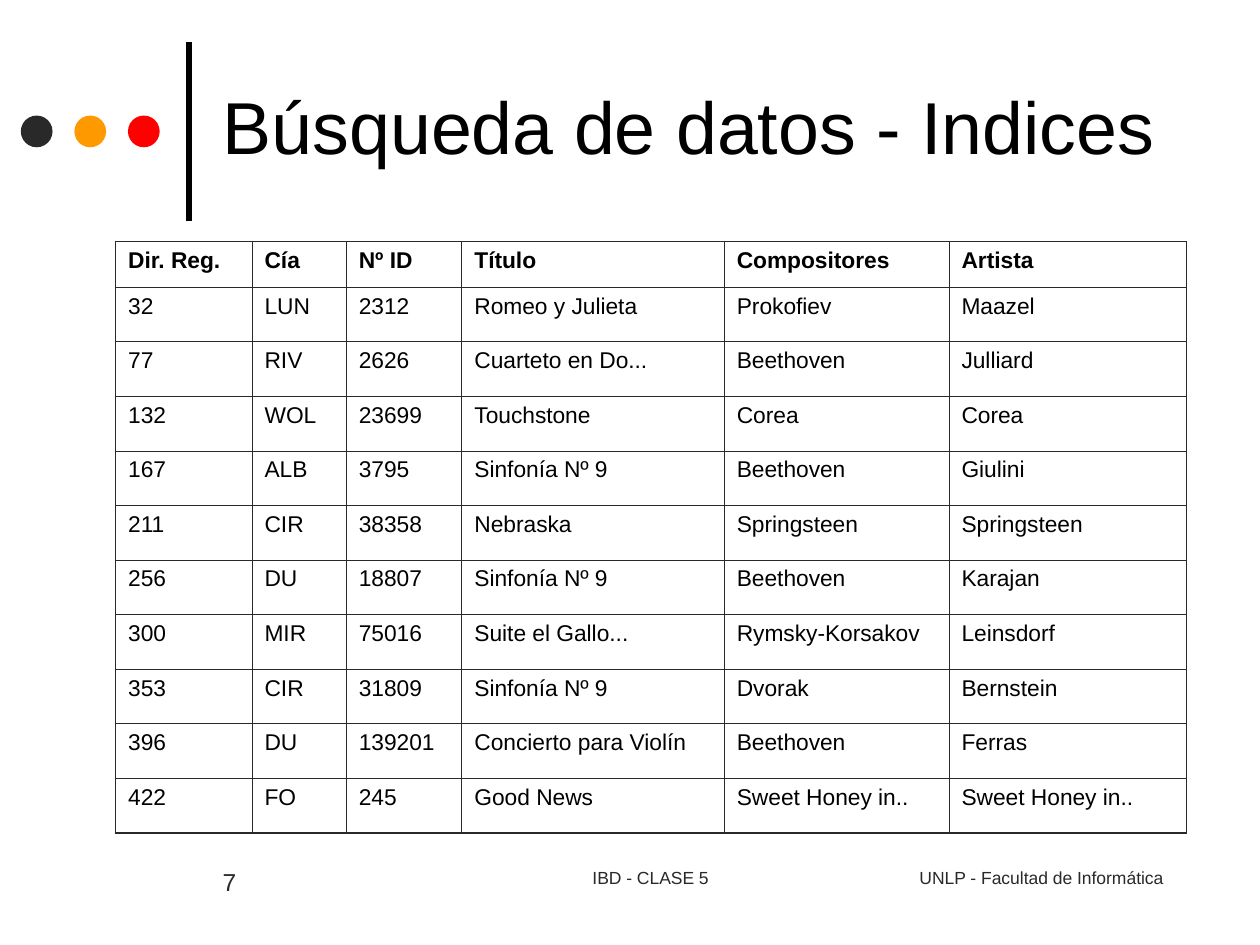
from dataclasses import dataclass

from lxml import etree
from pptx import Presentation
from pptx.dml.color import RGBColor
from pptx.enum.shapes import MSO_CONNECTOR, MSO_SHAPE
from pptx.enum.text import MSO_ANCHOR, PP_ALIGN
from pptx.oxml.ns import qn
from pptx.util import Cm, Pt

STRAIGHT = MSO_CONNECTOR.STRAIGHT
OVAL = MSO_SHAPE.OVAL
TOP, MIDDLE = MSO_ANCHOR.TOP, MSO_ANCHOR.MIDDLE
LEFT, CENTER, RIGHT = PP_ALIGN.LEFT, PP_ALIGN.CENTER, PP_ALIGN.RIGHT


@dataclass(frozen=True)
class Theme:
    font: str = "Arial"
    black: str = "000000"
    dark: str = "292929"
    orange: str = "FF9900"
    red: str = "FF0000"
    title_size: float = 42
    number_size: float = 14
    table_size: float = 13
    footer_size: float = 10
    outer_line: float = 1.08
    inner_line: float = 0.45


theme = Theme()


def write(text_frame, text, size, color, alignment=LEFT, bold=False):
    text_frame.text = text
    paragraph = text_frame.paragraphs[0]
    paragraph.alignment = alignment
    font = paragraph.runs[0].font
    font.name = theme.font
    font.size = Pt(size)
    font.bold = bold
    font.color.rgb = RGBColor.from_string(color)


def set_borders(cell, widths):
    properties = cell._tc.get_or_add_tcPr()
    for position, (side, width) in enumerate(widths.items()):
        line = etree.Element(qn(f"a:ln{side}"), w=str(Pt(width)))
        fill = etree.SubElement(line, qn("a:solidFill"))
        etree.SubElement(fill, qn("a:srgbClr"), val=theme.dark)
        properties.insert(position, line)


presentation = Presentation()
presentation.slide_width = Cm(25.4)
presentation.slide_height = Cm(19.05)
slide = presentation.slides.add_slide(presentation.slide_layouts[6])
shapes = slide.shapes

divider = shapes.add_connector(STRAIGHT, Cm(3.81), Cm(4.45), Cm(3.81), Cm(0.85))
divider.line.color.rgb = RGBColor.from_string(theme.black)
divider.line.width = Pt(3)
etree.SubElement(divider._element.spPr, qn("a:effectLst"))

for index, color in enumerate((theme.dark, theme.orange, theme.red)):
    dot = shapes.add_shape(OVAL, Cm(0.42 + 1.08 * index), Cm(2.33), Cm(0.64), Cm(0.64))
    dot.shadow.inherit = False
    dot.fill.solid()
    dot.fill.fore_color.rgb = RGBColor.from_string(color)
    dot.line.fill.background()

column_widths = (2.75, 1.9, 2.33, 5.29, 4.53, 4.79)
header_height, row_height = 0.92, 1.1
records = (
    ("Dir. Reg.", "Cía", "Nº ID", "Título", "Compositores", "Artista"),
    ("32", "LUN", "2312", "Romeo y Julieta", "Prokofiev", "Maazel"),
    ("77", "RIV", "2626", "Cuarteto en Do...", "Beethoven", "Julliard"),
    ("132", "WOL", "23699", "Touchstone", "Corea", "Corea"),
    ("167", "ALB", "3795", "Sinfonía Nº 9", "Beethoven", "Giulini"),
    ("211", "CIR", "38358", "Nebraska", "Springsteen", "Springsteen"),
    ("256", "DU", "18807", "Sinfonía Nº 9", "Beethoven", "Karajan"),
    ("300", "MIR", "75016", "Suite el Gallo...", "Rymsky-Korsakov", "Leinsdorf"),
    ("353", "CIR", "31809", "Sinfonía Nº 9", "Dvorak", "Bernstein"),
    ("396", "DU", "139201", "Concierto para Violín", "Beethoven", "Ferras"),
    ("422", "FO", "245", "Good News", "Sweet Honey in..", "Sweet Honey in.."),
)
last_row, last_column = len(records) - 1, len(column_widths) - 1
table = shapes.add_table(
    len(records), len(column_widths), Cm(2.33), Cm(4.87),
    Cm(sum(column_widths)), Cm(header_height + row_height * last_row),
).table
table.first_row = False
table.horz_banding = False
for column, width in zip(table.columns, column_widths):
    column.width = Cm(width)

for row_index, record in enumerate(records):
    table.rows[row_index].height = Cm(row_height if row_index else header_height)
    for column_index, text in enumerate(record):
        cell = table.cell(row_index, column_index)
        cell.fill.background()
        write(cell.text_frame, text, theme.table_size, theme.black, bold=row_index == 0)
        outer_sides = {
            "L": column_index == 0,
            "R": column_index == last_column,
            "T": row_index == 0,
            "B": row_index == last_row,
        }
        set_borders(cell, {
            side: theme.outer_line if outer else theme.inner_line
            for side, outer in outer_sides.items()
        })

footer_top, footer_height = 17.35, 1.27
text_boxes = (
    ("Búsqueda de datos - Indices", 4.24, 1.27, 19.48, 2.51,
     theme.title_size, theme.black, LEFT, MIDDLE),
    ("IBD - CLASE 5", 9.09, footer_top, 8.05, footer_height,
     theme.footer_size, theme.dark, CENTER, TOP),
    ("7", 4.24, footer_top, 3.61, footer_height,
     theme.number_size, theme.dark, LEFT, TOP),
    ("UNLP - Facultad de Informática", 16.89, footer_top, 6.81, footer_height,
     theme.footer_size, theme.dark, RIGHT, TOP),
)
for text, left, top, width, height, size, color, alignment, anchor in text_boxes:
    text_frame = shapes.add_textbox(Cm(left), Cm(top), Cm(width), Cm(height)).text_frame
    text_frame.word_wrap = True
    text_frame.vertical_anchor = anchor
    write(text_frame, text, size, color, alignment)

presentation.save("out.pptx")
